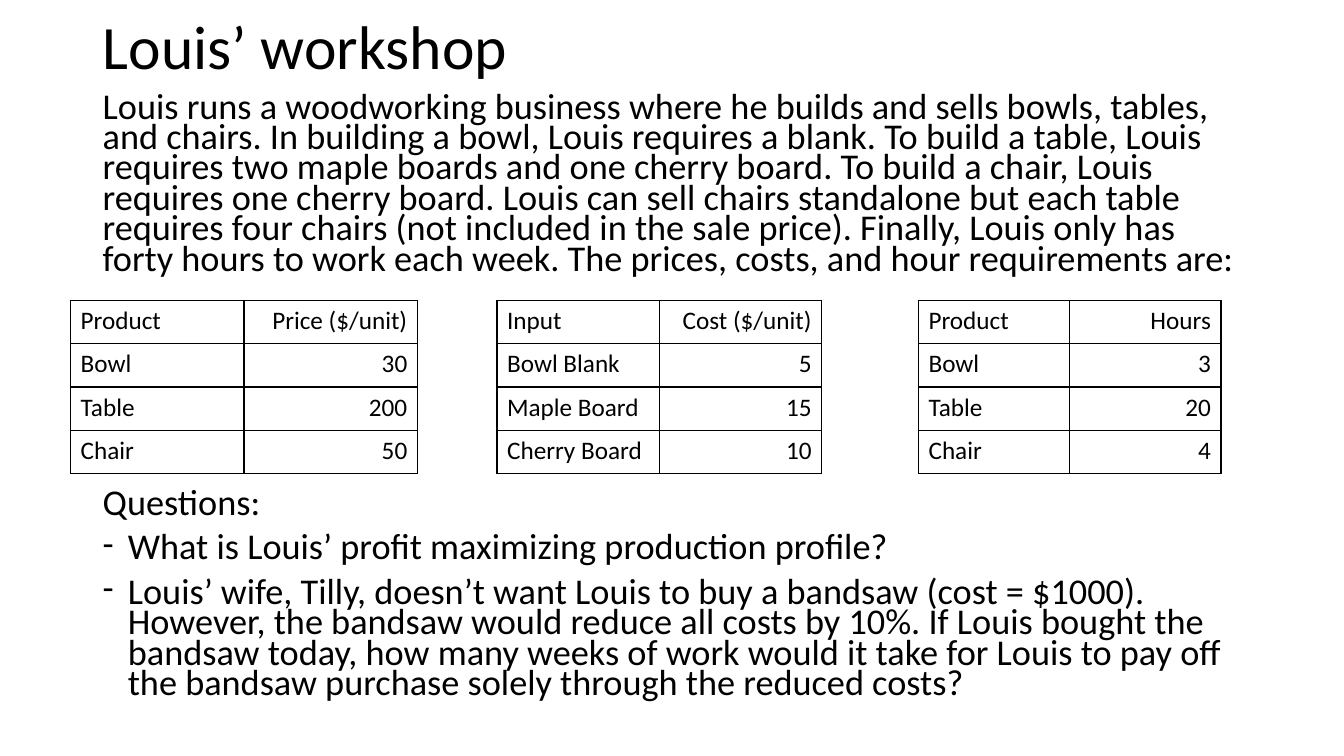
from dataclasses import dataclass

from lxml import etree
from pptx import Presentation
from pptx.dml.color import RGBColor
from pptx.enum.text import MSO_ANCHOR, MSO_AUTO_SIZE, PP_ALIGN
from pptx.oxml.ns import qn
from pptx.util import Emu, Pt

PX = 9144
FONT = "Calibri"
BLACK = RGBColor(0, 0, 0)
LEFT, RIGHT = PP_ALIGN.LEFT, PP_ALIGN.RIGHT
MIDDLE, TOP = MSO_ANCHOR.MIDDLE, MSO_ANCHOR.TOP
NO_AUTOFIT = MSO_AUTO_SIZE.NONE
TITLE_ONLY = 5
TITLE_SIZE, BODY_SIZE, TABLE_SIZE = 44, 25.9, 18
TEXT_LEFT, TEXT_WIDTH = 92, 1150
TABLE_TOP, ROW_HEIGHT = 298, 43
BULLET_INDENT = 25


@dataclass(frozen=True)
class Line:
    text: str
    bullet: bool = False


@dataclass(frozen=True)
class TextBlock:
    top: int
    height: int
    lines: tuple[Line, ...]


@dataclass(frozen=True)
class PriceTable:
    left: int
    column_width: int
    rows: tuple[tuple[str, str], ...]


BLOCKS = (
    TextBlock(89, 200, (
        Line("Louis runs a woodworking business where he builds and sells bowls, tables, "
             "and chairs. In building a bowl, Louis requires a blank. To build a table, "
             "Louis requires two maple boards and one cherry board. To build a chair, "
             "Louis requires one cherry board. Louis can sell chairs standalone but each "
             "table requires four chairs (not included in the sale price). Finally, Louis "
             "only has forty hours to work each week. The prices, costs, and hour "
             "requirements are:"),
    )),
    TextBlock(482, 255, (
        Line("Questions:"),
        Line("What is Louis’ profit maximizing production profile?", bullet=True),
        Line("Louis’ wife, Tilly, doesn’t want Louis to buy a bandsaw (cost = $1000). "
             "However, the bandsaw would reduce all costs by 10%. If Louis bought the "
             "bandsaw today, how many weeks of work would it take for Louis to pay off "
             "the bandsaw purchase solely through the reduced costs?", bullet=True),
    )),
)

TABLES = (
    PriceTable(70, 172, (("Product", "Price ($/unit)"), ("Bowl", "30"),
                         ("Table", "200"), ("Chair", "50"))),
    PriceTable(493, 161, (("Input", "Cost ($/unit)"), ("Bowl Blank", "5"),
                          ("Maple Board", "15"), ("Cherry Board", "10"))),
    PriceTable(911, 150, (("Product", "Hours"), ("Bowl", "3"),
                          ("Table", "20"), ("Chair", "4"))),
)


def px(length: int) -> Emu:
    return Emu(length * PX)


def add_span(para, text: str, size: float) -> None:
    span = para.add_run()
    span.text = text
    span.font.name = FONT
    span.font.size = Pt(size)
    span.font.bold = False
    span.font.color.rgb = BLACK


def add_dash(para) -> None:
    properties = para._p.get_or_add_pPr()
    properties.set("marL", str(px(BULLET_INDENT)))
    properties.set("indent", str(-px(BULLET_INDENT)))
    etree.SubElement(properties, qn("a:buFont"), typeface=FONT)
    etree.SubElement(properties, qn("a:buChar"), char="-")


def draw_title(page, text: str) -> None:
    title = page.shapes.title
    title.left, title.top = px(TEXT_LEFT), px(-23)
    title.width, title.height = px(TEXT_WIDTH), px(145)
    frame = title.text_frame
    frame.auto_size = NO_AUTOFIT
    frame.vertical_anchor = MIDDLE
    para = frame.paragraphs[0]
    para.alignment = LEFT
    para.line_spacing = 0.9
    add_span(para, text, TITLE_SIZE)


def draw_block(page, block: TextBlock) -> None:
    box = page.shapes.add_textbox(px(TEXT_LEFT), px(block.top),
                                  px(TEXT_WIDTH), px(block.height))
    frame = box.text_frame
    frame.word_wrap = True
    frame.auto_size = NO_AUTOFIT
    frame.vertical_anchor = TOP
    for index, line in enumerate(block.lines):
        para = frame.add_paragraph() if index else frame.paragraphs[0]
        para.alignment = LEFT
        para.line_spacing = 0.7
        para.space_before = Pt(10)
        if line.bullet:
            add_dash(para)
        add_span(para, line.text, BODY_SIZE)


def add_borders(cell) -> None:
    properties = cell._tc.get_or_add_tcPr()
    for index, side in enumerate(("a:lnL", "a:lnR", "a:lnT", "a:lnB")):
        border = etree.Element(qn(side), w=str(Pt(1)))
        fill = etree.SubElement(border, qn("a:solidFill"))
        etree.SubElement(fill, qn("a:srgbClr"), val=str(BLACK))
        properties.insert(index, border)


def draw_table(page, entry: PriceTable) -> None:
    row_count, column_count = len(entry.rows), len(entry.rows[0])
    table = page.shapes.add_table(
        row_count, column_count, px(entry.left), px(TABLE_TOP),
        px(entry.column_width * column_count), px(ROW_HEIGHT * row_count)).table
    table.first_row = False
    table.horz_banding = False
    for row_index, values in enumerate(entry.rows):
        for column_index, (text, alignment) in enumerate(zip(values, (LEFT, RIGHT))):
            cell = table.cell(row_index, column_index)
            cell.fill.background()
            add_borders(cell)
            para = cell.text_frame.paragraphs[0]
            para.alignment = alignment
            add_span(para, text, TABLE_SIZE)


def main() -> None:
    deck = Presentation()
    deck.slide_width, deck.slide_height = px(1333), px(750)
    page = deck.slides.add_slide(deck.slide_layouts[TITLE_ONLY])
    draw_title(page, "Louis’ workshop")
    for block in BLOCKS:
        draw_block(page, block)
    for entry in TABLES:
        draw_table(page, entry)
    deck.save("out.pptx")


if __name__ == "__main__":
    main()
